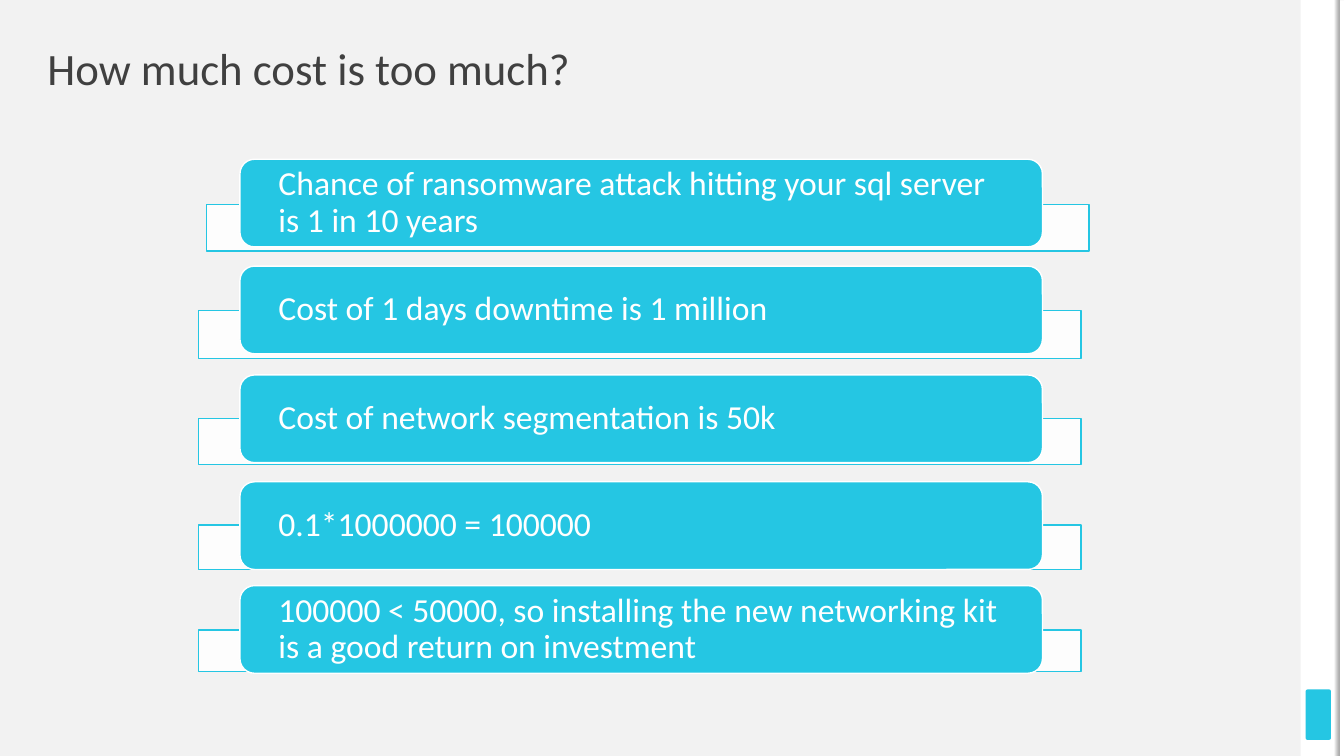
import dataclasses
import typing

import pptx
import pptx.dml.color
import pptx.enum.shapes
import pptx.enum.text
import pptx.oxml
import pptx.oxml.ns
import pptx.util

# Grid of tenth-inch cells
SLIDE_WIDTH, SLIDE_HEIGHT = 13.33, 7.5
COLUMNS, ROWS = 133.3, 75
COLUMN = SLIDE_WIDTH / COLUMNS
ROW = SLIDE_HEIGHT / ROWS

COLORS = {
    "background": "F2F2F2",
    "white": "FFFFFF",
    "accent": "25C6E3",
    "title": "404040",
    "shade": "A6A6A6",
}
TITLE_FONT = {"name": "Calibri", "size": pptx.util.Pt(32)}
CARD_FONT = {"name": "Calibri", "size": pptx.util.Pt(24)}
RECTANGLE = pptx.enum.shapes.MSO_SHAPE.RECTANGLE
ROUNDED = pptx.enum.shapes.MSO_SHAPE.ROUNDED_RECTANGLE


@dataclasses.dataclass
class Box:
    """A place on the grid, in columns and rows."""
    left: float
    top: float
    width: float
    height: float

    def lengths(self) -> list[int]:
        return [pptx.util.Inches(value) for value in (
            self.left * COLUMN, self.top * ROW,
            self.width * COLUMN, self.height * ROW)]


@dataclasses.dataclass
class Step:
    """A card with the tab that shows behind it."""
    text: str
    card_top: float
    tab_top: float
    tab_height: float
    tab_left: float = 19.7


STEPS = [
    Step("Chance of ransomware attack hitting your sql server is 1 in 10 years",
         15.8, 20.3, 4.6, tab_left=20.5),
    Step("Cost of 1 days downtime is 1 million", 26.4, 30.8, 4.8),
    Step("Cost of network segmentation is 50k", 37.2, 41.5, 4.6),
    Step("0.1*1000000 = 100000", 47.8, 52.1, 4.4),
    Step("100000 < 50000, so installing the new networking kit "
         "is a good return on investment", 58.1, 62.5, 4.1),
]


def color(name: str) -> pptx.dml.color.RGBColor:
    return pptx.dml.color.RGBColor.from_string(COLORS[name])


def add_box(shapes: typing.Any, kind: typing.Any, box: Box, fill: str,
            line: str | None = None) -> typing.Any:
    shape = shapes.add_shape(kind, *box.lengths())
    shape.shadow.inherit = False
    shape.fill.solid()
    shape.fill.fore_color.rgb = color(fill)
    if line:
        shape.line.color.rgb = color(line)
        shape.line.width = pptx.util.Pt(1)
    else:
        shape.line.fill.background()
    return shape


def write(shape: typing.Any, text: str, font: dict[str, typing.Any],
          font_color: str, side_margin: float = 0) -> None:
    frame_format = {
        "word_wrap": True,
        "vertical_anchor": pptx.enum.text.MSO_ANCHOR.MIDDLE,
        "margin_left": pptx.util.Inches(side_margin * COLUMN),
        "margin_right": pptx.util.Inches(side_margin * COLUMN),
        "margin_top": 0,
        "margin_bottom": 0,
    }
    for name, value in frame_format.items():
        setattr(shape.text_frame, name, value)
    paragraph = shape.text_frame.paragraphs[0]
    paragraph.alignment = pptx.enum.text.PP_ALIGN.LEFT
    paragraph.line_spacing = 0.9
    run = paragraph.add_run()
    run.text = text
    for name, value in font.items():
        setattr(run.font, name, value)
    run.font.color.rgb = color(font_color)


def set_opacity(shape: typing.Any, percent: int) -> None:
    fill_color = shape.fill._xPr.find(".//" + pptx.oxml.ns.qn("a:srgbClr"))
    alpha = pptx.oxml.parse_xml(
        f'<a:alpha {pptx.oxml.ns.nsdecls("a")} val="{percent * 1000}"/>')
    fill_color.append(alpha)


def add_side_band(shapes: typing.Any) -> None:
    add_box(shapes, RECTANGLE, Box(129, 0, 3.9, ROWS), "white")
    marker = add_box(shapes, ROUNDED, Box(129.5, 68.4, 2.5, 5), "accent")
    marker.adjustments[0] = 0.07
    # Thin edge strips, turned upright
    edge = add_box(shapes, RECTANGLE, Box(95.6, 37.3, ROWS, 0.5), "white")
    shade = add_box(shapes, RECTANGLE, Box(95.1, 37.3, ROWS, 0.5), "white")
    for strip in (edge, shade):
        strip.rotation = 90
    shade.fill.gradient()
    shade.fill.gradient_angle = 90
    for stop, name in zip(shade.fill.gradient_stops, ("background", "shade")):
        stop.color.rgb = color(name)


def add_step(shapes: typing.Any, step: Step) -> None:
    tab = add_box(shapes, RECTANGLE,
                  Box(step.tab_left, step.tab_top, 87.5, step.tab_height),
                  "white", "accent")
    set_opacity(tab, 90)
    card = add_box(shapes, ROUNDED, Box(23.8, step.card_top, 79.6, 8.7),
                   "accent", "white")
    write(card, step.text, CARD_FONT, "white", side_margin=3.4)


def main() -> None:
    presentation = pptx.Presentation()
    presentation.slide_width = pptx.util.Inches(SLIDE_WIDTH)
    presentation.slide_height = pptx.util.Inches(SLIDE_HEIGHT)
    slide = presentation.slides.add_slide(presentation.slide_layouts[6])
    slide.background.fill.solid()
    slide.background.fill.fore_color.rgb = color("background")

    # Band on the right
    add_side_band(slide.shapes)

    # Title
    title = slide.shapes.add_textbox(*Box(4.7, 4.7, 59.8, 4.7).lengths())
    write(title, "How much cost is too much?", TITLE_FONT, "title")

    # Steps of the calculation
    group = slide.shapes.add_group_shape()
    for step in STEPS:
        add_step(group.shapes, step)

    presentation.save("out.pptx")


if __name__ == "__main__":
    main()
